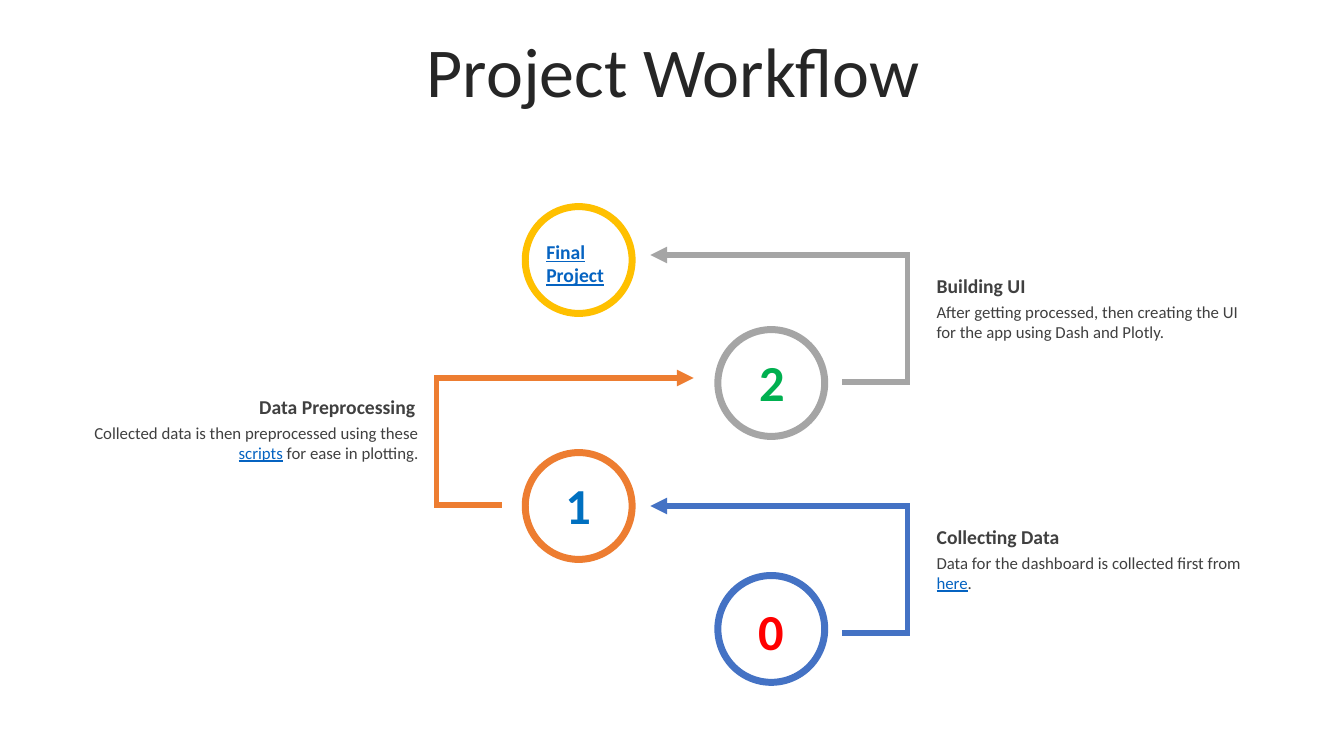
"""Build the Project Workflow slide."""
from dataclasses import dataclass

import pptx
import pptx.dml.color
import pptx.enum.shapes
import pptx.enum.text
import pptx.oxml
import pptx.oxml.ns
import pptx.util

PX = 9144
ALIGN = pptx.enum.text.PP_ALIGN
ANCHOR = pptx.enum.text.MSO_ANCHOR


@dataclass(frozen=True)
class Theme:
    """Colours and type sizes of the slide."""
    font: str = "Calibri"
    title: str = "262626"
    body: str = "404040"
    link: str = "0563C1"
    white: str = "FFFFFF"
    blue: str = "4472C4"
    orange: str = "ED7D31"
    grey: str = "A5A5A5"
    gold: str = "FFC000"
    zero: str = "FF0000"
    one: str = "0070C0"
    two: str = "00B050"
    title_size: int = 50
    number_size: int = 36
    head_size: int = 14
    body_size: int = 12
    ring_width: int = 5
    arrow_width: int = 4


def rgb(color):
    """Turn a hex colour into an RGBColor."""
    return pptx.dml.color.RGBColor.from_string(color)


def add_run(p, text, *, font, size, color, bold=False, underline=False):
    """Append one formatted run to a paragraph."""
    r = p.add_run()
    r.text = text
    r.font.name = font
    r.font.size = pptx.util.Pt(size)
    r.font.color.rgb = rgb(color)
    r.font.bold = bold
    r.font.underline = underline


class Canvas:
    """Draw styled elements on the current slide."""

    def __init__(self, slide, theme):
        """Keep the slide and its theme."""
        self.shapes = slide.shapes
        self.theme = theme

    def text(self, box, runs, align=ALIGN.LEFT, anchor=ANCHOR.TOP, inset=10, **fmt):
        """Add a text box and return its paragraph."""
        tf = self.shapes.add_textbox(*(v * PX for v in box)).text_frame
        tf.word_wrap = True
        tf.vertical_anchor = anchor
        tf.margin_left = tf.margin_right = inset * PX
        tf.margin_top = tf.margin_bottom = 5 * PX
        p = tf.paragraphs[0]
        p.alignment = align
        for text, extra in runs:
            add_run(p, text, **{"font": self.theme.font, **fmt, **extra})
        return p

    def title(self, box, text):
        """Add the centred slide title."""
        p = self.text(box, [(text, {})], ALIGN.CENTER, ANCHOR.MIDDLE,
                      size=self.theme.title_size, color=self.theme.title)
        p.line_spacing = 0.8
        p.space_before = pptx.util.Pt(10)

    def note(self, left, top, heading, runs, align=ALIGN.LEFT):
        """Add a bold heading with its description below."""
        t = self.theme
        self.text((left + 2, top + 27, 342, 50), runs, align,
                  size=t.body_size, color=t.body)
        self.text((left, top, 343, 34), [(heading, {})], align, inset=12,
                  size=t.head_size, color=t.body, bold=True)

    def ring(self, left, top, color):
        """Add a white circle with a coloured outline."""
        oval = pptx.enum.shapes.MSO_SHAPE.OVAL
        sp = self.shapes.add_shape(oval, left * PX, top * PX, 106 * PX, 106 * PX)
        sp.shadow.inherit = False
        sp.fill.solid()
        sp.fill.fore_color.rgb = rgb(self.theme.white)
        sp.line.color.rgb = rgb(color)
        sp.line.width = pptx.util.Pt(self.theme.ring_width)

    def elbow(self, tip, top, side, color):
        """Add a bent arrow whose tip lies opposite the given side."""
        turn = tip + side * 255
        bottom = top + 126
        fb = self.shapes.build_freeform(tip, top, PX)
        fb.add_line_segments([(turn, top), (turn, bottom),
                              (turn - side * 65, bottom)], close=False)
        sp = fb.convert_to_shape()
        sp.shadow.inherit = False
        sp.fill.background()
        sp.line.color.rgb = rgb(color)
        sp.line.width = pptx.util.Pt(self.theme.arrow_width)
        ln = sp.line.fill._xPr
        ns = pptx.oxml.ns.nsdecls("a")
        for xml in (f'<a:miter {ns} lim="800000"/>',
                    f'<a:headEnd {ns} type="triangle"/>'):
            ln.append(pptx.oxml.parse_xml(xml))


def main():
    """Lay out the workflow and save the deck."""
    prs = pptx.Presentation()
    prs.slide_width, prs.slide_height = 1333 * PX, 750 * PX
    t = Theme()
    c = Canvas(prs.slides.add_slide(prs.slide_layouts[6]), t)
    link = {"color": t.link, "underline": True}

    c.title((35, 37, 1266, 79), "Project Workflow")
    c.note(917, 267, "Building UI", [
        ("After getting processed, then creating the UI for the app "
         "using Dash and Plotly.", {})])
    c.note(917, 516, "Collecting Data", [
        ("Data for the dashboard is collected first from ", {}),
        ("here", link), (".", {})])
    c.note(81, 387, "Data Preprocessing", [
        ("Collected data is then preprocessed using these ", {}),
        ("scripts", link), (" for ease in plotting.", {})], ALIGN.RIGHT)

    for i, color in enumerate((t.blue, t.orange, t.grey, t.gold)):
        c.ring((712, 521)[i % 2], 571 - 122 * i, color)
    for tip, top, side, color in ((645, 253, 1, t.grey),
                                  (688, 375, -1, t.orange),
                                  (645, 502, 1, t.blue)):
        c.elbow(tip, top, side, color)

    c.text((532, 233, 83, 57), [("Final Project", link)],
           size=t.head_size, bold=True)
    for left, top, digit, color in ((742, 590, "0", t.zero),
                                    (551, 465, "1", t.one),
                                    (743, 343, "2", t.two)):
        c.text((left, top, 56, 71), [(digit, {})],
               size=t.number_size, color=color, bold=True)
    prs.save("out.pptx")


if __name__ == "__main__":
    main()
